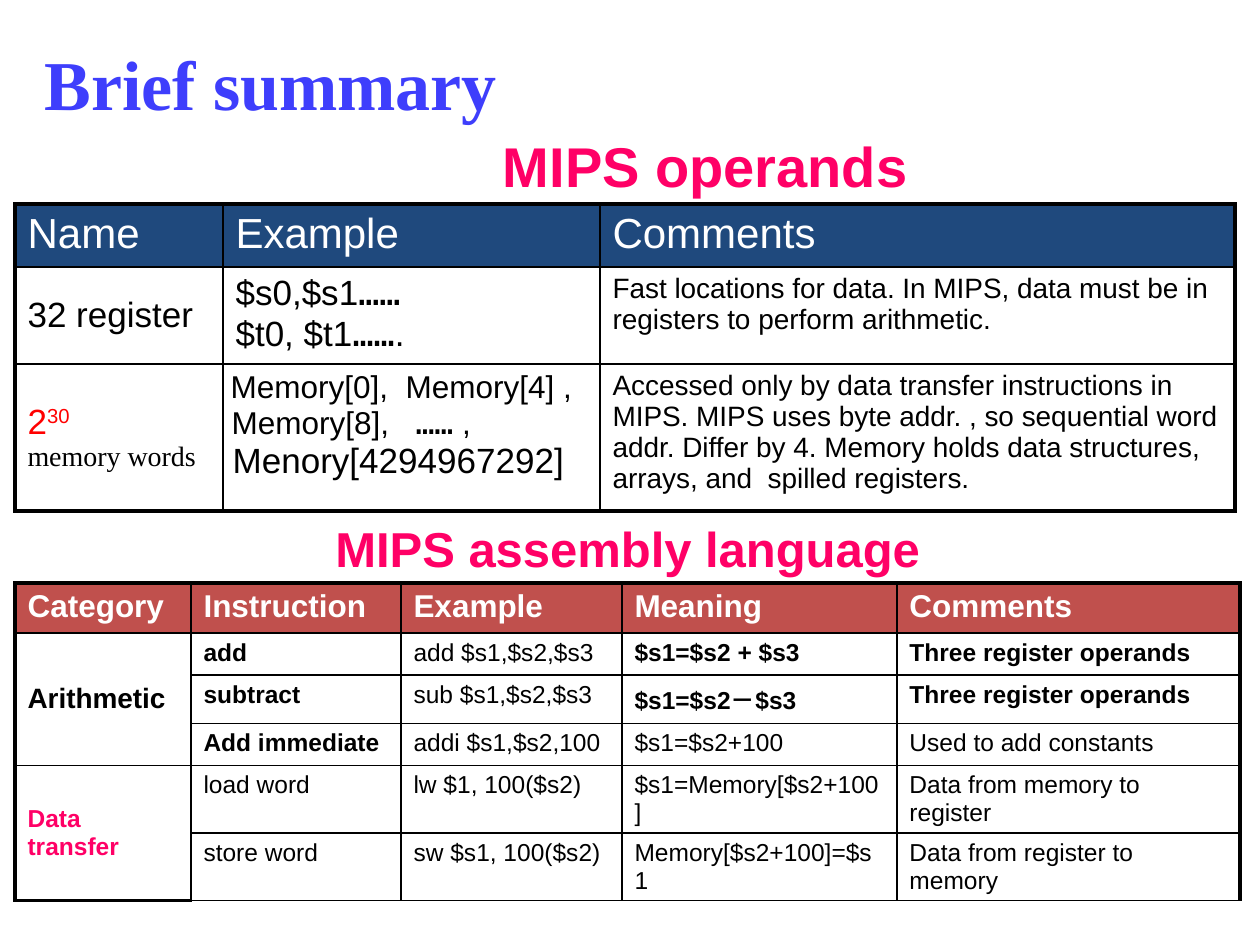
from lxml import etree
from pptx import Presentation
from pptx import util as u
from pptx.dml.color import RGBColor
from pptx.enum import text
from pptx.oxml.ns import qn

PX_PER_INCH = 126
BLACK, WHITE, PINK, RED = "000000", "FFFFFF", "FF0066", "FF0000"
SERIF, MONO = "Times New Roman", "DejaVu Sans Mono"

# A run is (text, format); a cell is a list of paragraphs, a paragraph a list of runs.
HEAD = dict(size=24, color=WHITE)
LARGE, MEDIUM, NOTE = dict(size=20), dict(size=18), dict(size=16)
LARGE_DOTS, MEDIUM_DOTS = dict(size=20, font=MONO), dict(size=18, font=MONO)
POWER = dict(size=20, color=RED)
CODE, STRONG = dict(size=14), dict(size=14, bold=True)
CODE_HEAD = dict(size=18, color=WHITE, bold=True)


def plain(words, style):
    return [[(words, style)]]


TITLE = ("Brief summary", dict(size=40, font=SERIF, color="3E3EFC", bold=True))
HEADINGS = [
    ("MIPS operands\t", 32, (302, 125, 843, 79)),
    ("MIPS assembly language ", 28, (263, 512, 743, 72)),
]
OPERANDS = [
    [plain(name, HEAD) for name in ("Name", "Example", "Comments")],
    [
        plain("32 register", LARGE),
        [[("$s0,$s1", LARGE), ("……", LARGE_DOTS)],
         [("$t0, $t1", LARGE), ("……", LARGE_DOTS), (".", LARGE)]],
        plain("Fast locations for data. In MIPS, data must be in registers "
              "to perform arithmetic.", NOTE),
    ],
    [
        [[("2", POWER), ("30", dict(POWER, baseline=30000))],
         [("memory words", dict(size=16, font=SERIF))]],
        [[(" ", NOTE), ("Memory[0],  Memory[4] ,", MEDIUM)],
         [(" Memory[8],   ", MEDIUM), ("……", MEDIUM_DOTS), (" ,", MEDIUM)],
         [(" Menory[4294967292]", LARGE)]],
        plain("Accessed only by data transfer instructions in MIPS. MIPS uses "
              "byte addr. , so sequential word addr. Differ by 4. Memory holds "
              "data structures, arrays, and  spilled registers.", NOTE),
    ],
]
CATEGORIES = {  # first row: (last row, label, format)
    1: (3, "Arithmetic", dict(size=16, bold=True)),
    4: (5, "Data transfer", dict(size=14, color=PINK, bold=True)),
}
INSTRUCTIONS = [  # instruction, example, meaning, comments, bold columns
    ("add", "add $s1,$s2,$s3", "$s1=$s2 + $s3", "Three register operands", (0, 2, 3)),
    ("subtract", "sub $s1,$s2,$s3", "$s1=$s2－$s3", "Three register operands", (0, 2, 3)),
    ("Add immediate", "addi $s1,$s2,100", "$s1=$s2+100", "Used to add constants", (0,)),
    ("load word", "lw $1, 100($s2)", "$s1=Memory[$s2+100]", "Data from memory to register", ()),
    ("store word", "sw $s1, 100($s2)", "Memory[$s2+100]=$s1", "Data from register to memory", ()),
]


def px(length):
    return u.Emu(round(length * 914400 / PX_PER_INCH))


def rgb(color):
    return RGBColor.from_string(color)


def add_run(paragraph, words, size, color=BLACK, bold=False, font="Arial", baseline=None):
    run = paragraph.add_run()
    run.text = words
    run.font.size, run.font.bold, run.font.name = u.Pt(size), bold, font
    run.font.color.rgb = rgb(color)
    if baseline:
        run.font._element.set("baseline", str(baseline))


def fill_text(frame, paragraphs):
    for index, runs in enumerate(paragraphs):
        paragraph = frame.add_paragraph() if index else frame.paragraphs[0]
        for words, style in runs:
            add_run(paragraph, words, **style)


def set_borders(cell, widths):
    """Draw black borders; widths maps L, R, T, B to points."""
    properties = cell._tc.get_or_add_tcPr()
    for side in "LRTB":
        line = etree.SubElement(properties, qn(f"a:ln{side}"), w=str(u.Pt(widths[side])))
        fill = etree.SubElement(line, qn("a:solidFill"))
        etree.SubElement(fill, qn("a:srgbClr"), val=BLACK)


def add_table(slide, left, top, columns, rows, header_color, thick_bottom, merges=()):
    """Add an empty table with a thick frame and a coloured header row."""
    table = slide.shapes.add_table(
        len(rows), len(columns), px(left), px(top), px(sum(columns)), px(sum(rows))).table
    table.first_row = table.horz_banding = False
    for column, width in zip(table.columns, columns):
        column.width = px(width)
    for row, height in zip(table.rows, rows):
        row.height = px(height)
    for first, last in merges:
        table.cell(first, 0).merge(table.cell(last, 0))

    for r in range(len(rows)):
        for c in range(len(columns)):
            cell = table.cell(r, c)
            bottom = r + (cell.span_height if cell.is_merge_origin else 1)
            thick = {"L": c == 0, "R": c == len(columns) - 1, "T": r == 0,
                     "B": bottom == len(rows) and c in thick_bottom}
            set_borders(cell, {side: 2.25 if on else 1 for side, on in thick.items()})
            if r == 0:
                cell.fill.solid()
                cell.fill.fore_color.rgb = rgb(header_color)
            else:
                cell.fill.background()
                if c == 0:
                    cell.vertical_anchor = text.MSO_ANCHOR.MIDDLE
    return table


def add_heading(slide, words, size, box):
    shape = slide.shapes.add_textbox(*map(px, box))
    frame = shape.text_frame
    frame.word_wrap = True
    fill_text(frame, plain(words, dict(size=size, color=PINK, bold=True)))
    frame.paragraphs[0].alignment = text.PP_ALIGN.CENTER


def add_operands(slide):
    table = add_table(slide, 15, 204, (208, 377, 635), (63, 97, 147), "1F497D", range(3))
    for r, row in enumerate(OPERANDS):
        for c, paragraphs in enumerate(row):
            fill_text(table.cell(r, c).text_frame, paragraphs)
    memory = table.cell(2, 1)
    memory.margin_left = memory.margin_right = 0


def add_instructions(slide):
    merges = [(first, last) for first, (last, *_) in CATEGORIES.items()]
    table = add_table(slide, 15, 583, (176, 210, 221, 275, 343),
                      (50, 42, 42, 42, 42, 43), "C0504D", (0,), merges)
    for c, name in enumerate(("Category", "Instruction", "Example", "Meaning", "Comments")):
        fill_text(table.cell(0, c).text_frame, plain(name, CODE_HEAD))
    for first, (_, label, style) in CATEGORIES.items():
        fill_text(table.cell(first, 0).text_frame, plain(label, style))
    for r, (*entries, bold_columns) in enumerate(INSTRUCTIONS, 1):
        for c, words in enumerate(entries):
            style = STRONG if c in bold_columns else CODE
            fill_text(table.cell(r, c + 1).text_frame, plain(words, style))


def main():
    presentation = Presentation()
    presentation.slide_width, presentation.slide_height = px(1260), px(945)
    slide = presentation.slides.add_slide(presentation.slide_layouts[5])

    title = slide.shapes.title
    title.left, title.top, title.width, title.height = map(px, (32, 16, 1085, 132))
    title.text_frame.vertical_anchor = text.MSO_ANCHOR.MIDDLE
    fill_text(title.text_frame, plain(*TITLE))
    title.text_frame.paragraphs[0].alignment = text.PP_ALIGN.LEFT

    add_operands(slide)
    add_instructions(slide)
    for heading in HEADINGS:
        add_heading(slide, *heading)
    presentation.save("out.pptx")


if __name__ == "__main__":
    main()
